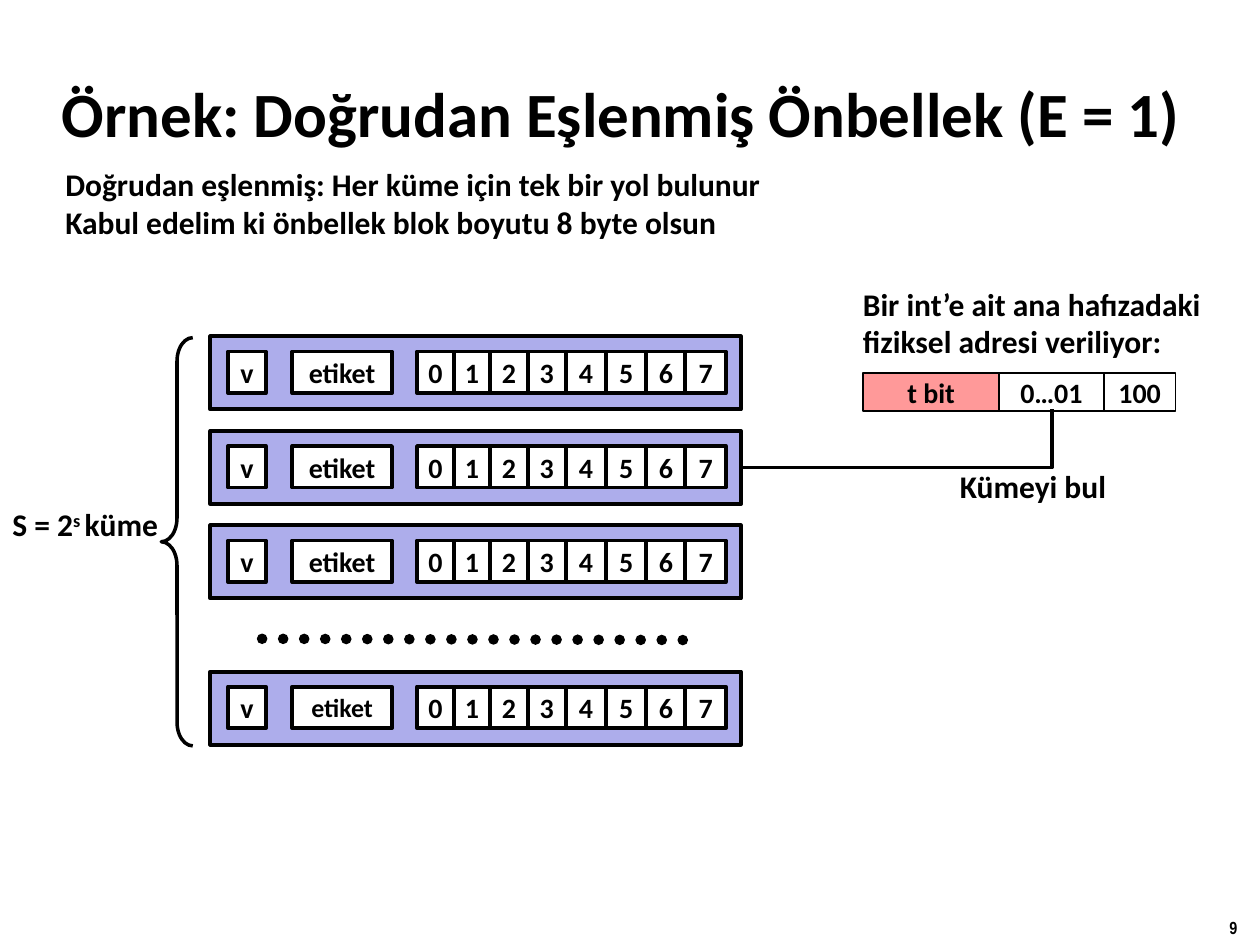
from lxml import etree
from pptx import Presentation
from pptx.dml.color import RGBColor
from pptx.enum.dml import MSO_LINE
from pptx.enum.shapes import MSO_CONNECTOR, MSO_SHAPE
from pptx.enum.text import MSO_ANCHOR, MSO_AUTO_SIZE, PP_ALIGN
from pptx.oxml.ns import qn
from pptx.util import Inches, Pt

BLACK = RGBColor(0x00, 0x00, 0x00)
WHITE = RGBColor(0xFF, 0xFF, 0xFF)
LILAC = RGBColor(0xAD, 0xAD, 0xEB)
PINK = RGBColor(0xFF, 0x99, 0x99)
LEFT, CENTER = PP_ALIGN.LEFT, PP_ALIGN.CENTER
MIDDLE = MSO_ANCHOR.MIDDLE
FIT_SHAPE = MSO_AUTO_SIZE.SHAPE_TO_FIT_TEXT
RECTANGLE, LEFT_BRACE = MSO_SHAPE.RECTANGLE, MSO_SHAPE.LEFT_BRACE
STRAIGHT, ELBOW = MSO_CONNECTOR.STRAIGHT, MSO_CONNECTOR.ELBOW
ROUND_DOT = MSO_LINE.ROUND_DOT

SET_WIDTH, SET_HEIGHT = 4.21, 0.58
SET_TOPS = [2.67, 3.42, 4.17, 5.33]
BYTE_EDGES = [1.64, 1.93, 2.22, 2.52, 2.82, 3.14, 3.46, 3.77, 4.09]


def add_run(paragraph, text, size, font="Calibri"):
    run = paragraph.add_run()
    run.text = text
    run.font.name = font
    run.font.size = Pt(size)
    run.font.bold = True
    run.font.color.rgb = BLACK
    return run


def add_label(slide, box, lines, size=18, font="Calibri"):
    label = slide.shapes.add_textbox(*map(Inches, box))
    frame = label.text_frame
    frame.word_wrap = False
    frame.auto_size = FIT_SHAPE
    for index, line in enumerate(lines):
        paragraph = frame.add_paragraph() if index else frame.paragraphs[0]
        for text, baseline in line:
            run = add_run(paragraph, text, size, font)
            if baseline:
                run.font._element.set("baseline", str(baseline * 1000))


def add_cell(slide, box, fill, line_width, text="", size=16, wrap=False):
    cell = slide.shapes.add_shape(RECTANGLE, *map(Inches, box))
    cell.shadow.inherit = False
    cell.fill.solid()
    cell.fill.fore_color.rgb = fill
    cell.line.color.rgb = BLACK
    cell.line.width = Pt(line_width)
    if text:
        frame = cell.text_frame
        frame.word_wrap = wrap
        frame.vertical_anchor = MIDDLE
        paragraph = frame.paragraphs[0]
        paragraph.alignment = CENTER
        add_run(paragraph, text, size)


def add_line(slide, kind, ends, width):
    line = slide.shapes.add_connector(kind, *map(Inches, ends))
    line.line.color.rgb = BLACK
    line.line.width = Pt(width)
    etree.SubElement(line._element.spPr, qn("a:effectLst"))
    return line


def add_title(slide, box):
    title = slide.shapes.title
    title.left, title.top, title.width, title.height = map(Inches, box)
    title.text_frame.vertical_anchor = MIDDLE
    paragraph = title.text_frame.paragraphs[0]
    paragraph.alignment = LEFT
    add_run(paragraph, "Örnek: Doğrudan Eşlenmiş Önbellek (E = 1)", 36)


def add_cache_set(slide, left, top, tag_size):
    add_cell(slide, (left, top, SET_WIDTH, SET_HEIGHT), LILAC, 2.25)
    parts = [("v", 0.14, 0.3, 16), ("etiket", 0.65, 0.79, tag_size)]
    for byte, (start, end) in enumerate(zip(BYTE_EDGES, BYTE_EDGES[1:])):
        parts.append((str(byte), start, end - start, 16))
    for text, offset, width, size in parts:
        box = (left + offset, top + 0.12, width, 0.33)
        add_cell(slide, box, WHITE, 2.25, text, size)


def add_cache(slide, left):
    brace = slide.shapes.add_shape(
        LEFT_BRACE, Inches(left - 0.39), Inches(2.68), Inches(0.25), Inches(3.24))
    brace.shadow.inherit = False
    brace.adjustments[0] = 0.75
    brace.adjustments[1] = 0.5
    brace.fill.background()
    brace.line.color.rgb = BLACK
    brace.line.width = Pt(2)
    add_label(slide, (0, 3.96, 1.4, 0.4), [[("S = 2", 0), ("s ", 30), ("küme", 0)]])
    for top in SET_TOPS:
        add_cache_set(slide, left, top, 14.8 if top == SET_TOPS[-1] else 16)
    dots = add_line(slide, STRAIGHT, (left + 0.41, 5.07, left + 3.83, 5.08), 6)
    dots.line.dash_style = ROUND_DOT
    dots.line._ln.set("cap", "rnd")


def add_address(slide, left, top):
    add_label(slide, (left - 0.1, top - 0.75, 2.91, 0.71),
              [[("Bir int’e ait ana hafızadaki", 0)], [("fiziksel adresi veriliyor:", 0)]])
    fields = [("t bit", 1.08, PINK), ("0…01", 0.83, WHITE), ("100", 0.57, WHITE)]
    for text, width, fill in fields:
        add_cell(slide, (left, top, width, 0.3), fill, 1, text, wrap=True)
        left += width


def add_set_lookup(slide, start_x, start_y, end_x, end_y):
    across, down = start_x - end_x, end_y - start_y
    center_x, center_y = (start_x + end_x) / 2, (start_y + end_y) / 2
    link = add_line(slide, ELBOW, (center_x - down / 2, center_y - across / 2,
                                   center_x + down / 2, center_y + across / 2), 2)
    properties = link._element.spPr
    properties.find(qn("a:prstGeom")).set("prst", "bentConnector2")
    properties.find(qn("a:xfrm")).set("rot", str(90 * 60000))
    add_label(slide, (7.52, 3.66, 1.37, 0.4), [[("Kümeyi bul", 0)]])


def main():
    deck = Presentation()
    deck.slide_width, deck.slide_height = Inches(10), Inches(7.5)
    slide = deck.slides.add_slide(deck.slide_layouts[5])
    add_title(slide, (0.39, 0.48, 9.28, 0.83))
    add_label(slide, (0.42, 1.26, 5.94, 0.71),
              [[("Doğrudan eşlenmiş: Her küme için tek bir yol bulunur", 0)],
               [("Kabul edelim ki önbellek blok boyutu 8 byte olsun", 0)]])
    add_cache(slide, 1.67)
    add_address(slide, 6.85, 2.96)
    add_set_lookup(slide, 8.35, 3.25, 5.88, 3.71)
    add_label(slide, (9.66, 7.23, 0.34, 0.27), [[("9", 0)]], 10, "Arial Narrow")
    deck.save("out.pptx")


if __name__ == "__main__":
    main()
